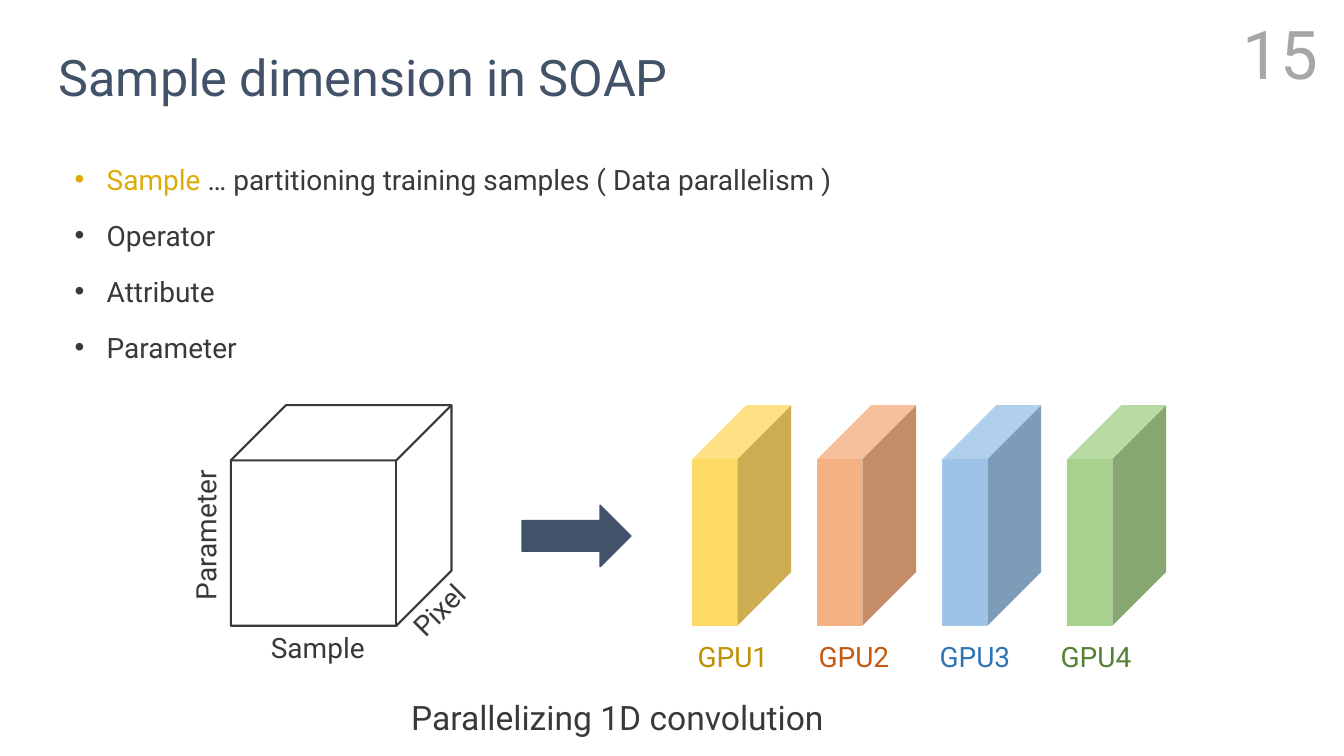
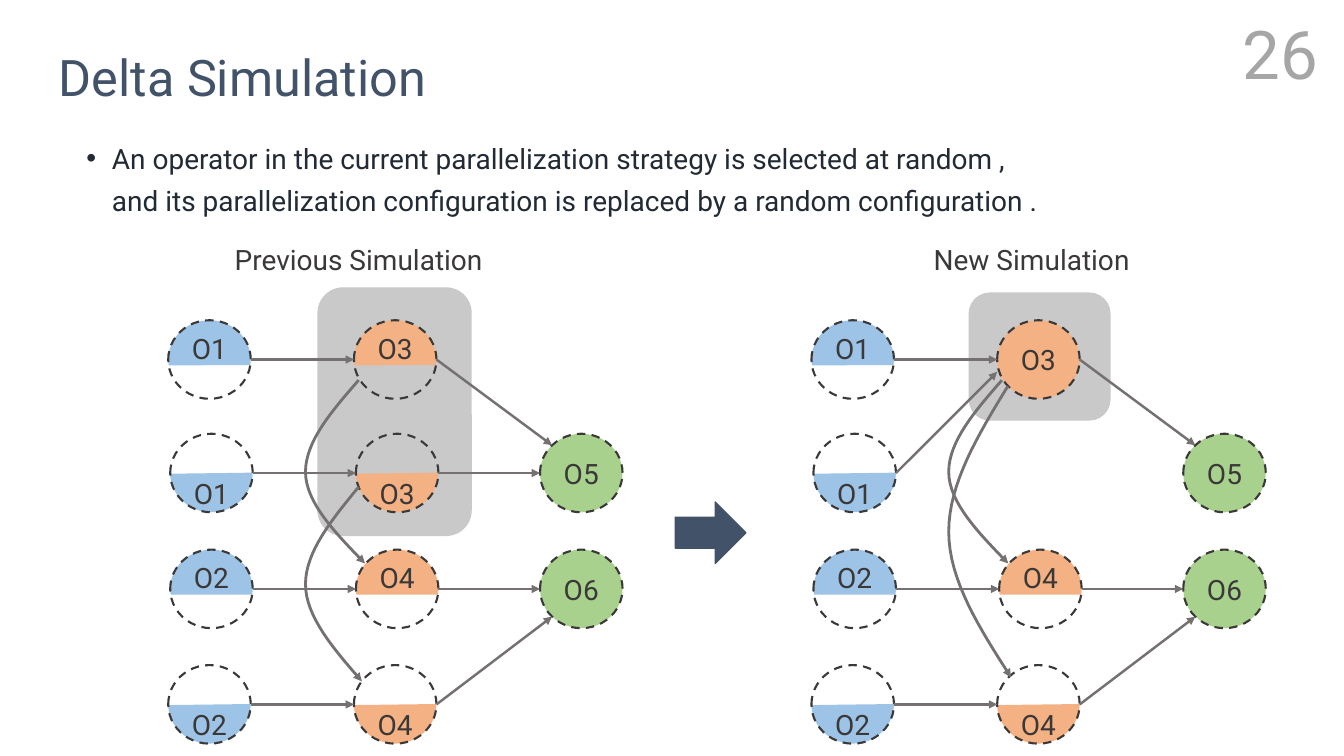
import pptx
import pptx.util
import pptx.dml.color
import pptx.enum.dml
import pptx.enum.shapes
import pptx.enum.text
import pptx.oxml
import pptx.oxml.ns
from lxml import etree

Cm, Pt = pptx.util.Cm, pptx.util.Pt
RGB = pptx.dml.color.RGBColor
KIND = pptx.enum.shapes.MSO_SHAPE
ALIGN = pptx.enum.text.PP_ALIGN
MIDDLE = pptx.enum.text.MSO_ANCHOR.MIDDLE
qn = pptx.oxml.ns.qn

# Colours and font
FONT = "Roboto"
NAVY = RGB(0x42, 0x52, 0x69)
DARK = RGB(0x3B, 0x38, 0x38)
INK = RGB(0x22, 0x2A, 0x35)
PALE = RGB(0xA6, 0xA6, 0xA6)
GREY = RGB(0x76, 0x71, 0x71)
PANEL = RGB(0xC9, 0xC9, 0xC9)
GOLD = RGB(0xDF, 0xAB, 0x09)
YELLOW = RGB(0xFF, 0xD9, 0x66)
ORANGE = RGB(0xF4, 0xB1, 0x83)
BLUE = RGB(0x9D, 0xC3, 0xE6)
GREEN = RGB(0xA9, 0xD1, 0x8E)
OCHRE = RGB(0xBF, 0x90, 0x00)
RUST = RGB(0xC5, 0x5A, 0x11)
AZURE = RGB(0x2E, 0x75, 0xB6)
MOSS = RGB(0x54, 0x82, 0x35)

# Node graph, in centimetres
WIDE, HIGH = 2.08, 1.98
ROWS = (9.06, 11.92, 14.84, 17.75)
SHIFT = (0, 0.05, 0.05, 0)
COLS = (5.28, 9.96, 14.6)
DIAG = 0.707
UPPER, LOWER = (103.14, 4.76), (215.72, 107.4)


class Deck:
    """Holds the style and the current slide; lengths are in centimetres."""

    def __init__(self):
        self.prs = pptx.Presentation()
        self.prs.slide_width, self.prs.slide_height = Cm(33.87), Cm(19.05)
        self.slide = None

    def start(self, title, number):
        self.slide = self.prs.slides.add_slide(self.prs.slide_layouts[6])
        frame = self.box(1.07, 0.28, 29.21, 2.9)
        frame.margin_left = Cm(0.41)
        frame.vertical_anchor = MIDDLE
        frame.text = title
        frame.paragraphs[0].line_spacing = 1.25
        self.style(frame, 36, NAVY)
        frame = self.box(23.67, 0.28, 9.8, 2.11)
        frame.vertical_anchor = MIDDLE
        frame.text = number
        self.style(frame, 48, PALE, ALIGN.RIGHT)

    def box(self, x, y, w, h):
        frame = self.slide.shapes.add_textbox(
            Cm(x), Cm(y), Cm(w), Cm(h)).text_frame
        frame.word_wrap = True
        return frame

    def style(self, frame, size, color, align=ALIGN.LEFT):
        for para in frame.paragraphs:
            para.alignment = align
            for run in para.runs:
                run.font.name, run.font.size = FONT, Pt(size)
                run.font.color.rgb = color

    def bullets(self, x, y, w, items, color, indent):
        frame = self.box(x, y, w, 12.75)
        frame.text = "\n".join(items)
        for i, para in enumerate(frame.paragraphs):
            props = para._p.get_or_add_pPr()
            props.set("marL", str(Cm(indent)))
            props.set("indent", str(-Cm(indent)))
            etree.SubElement(props, qn("a:buFont")).set("typeface", "Arial")
            etree.SubElement(props, qn("a:buChar")).set("char", "•")
            para.line_spacing = 1.25
            para.space_before = Pt(10 if i else 0)
        self.style(frame, 20, color)
        return frame

    def label(self, text, x, y, w, color=DARK, size=20, turn=0):
        """Unwrapped text centred on x, y."""
        h = 1.27 if size > 20 else 1.12
        box = self.slide.shapes.add_textbox(
            Cm(x - w / 2), Cm(y - h / 2), Cm(w), Cm(h))
        box.rotation = turn
        frame = box.text_frame
        frame.word_wrap = False
        frame.auto_size = pptx.enum.text.MSO_AUTO_SIZE.SHAPE_TO_FIT_TEXT
        frame.text = text
        self.style(frame, size, color, ALIGN.CENTER)

    def shape(self, kind, x, y, w, h, fill=None, line=None, width=1, adj=()):
        shape = self.slide.shapes.add_shape(kind, Cm(x), Cm(y), Cm(w), Cm(h))
        self.paint(shape, fill, line, width)
        for i, value in enumerate(adj):
            shape.adjustments[i] = value
        return shape

    def paint(self, shape, fill, line, width):
        shape.shadow.inherit = False
        if fill is None:
            shape.fill.background()
        else:
            shape.fill.solid()
            shape.fill.fore_color.rgb = fill
        if line is None:
            shape.line.fill.background()
        else:
            shape.line.color.rgb = line
            shape.line.width = Pt(width)

    def block(self, x, y, w):
        self.shape(KIND.RIGHT_ARROW, x, y, w, 1.55, NAVY, NAVY)

    def ring(self, x, y, fill=None, text=""):
        """Dashed circle centred on x, y."""
        ring = self.shape(KIND.OVAL, x - WIDE / 2, y - HIGH / 2, WIDE, HIGH,
                          fill, DARK, 1.5)
        ring.line.dash_style = pptx.enum.dml.MSO_LINE.DASH
        if text:
            frame = ring.text_frame
            frame.word_wrap = False
            frame.vertical_anchor = MIDDLE
            frame.text = text
            self.style(frame, 20, DARK, ALIGN.CENTER)
        return ring

    def half(self, x, y, fill, text, upper):
        """Circle with its upper or lower part filled."""
        part = self.shape(KIND.CHORD, x - WIDE / 2, y - HIGH / 2, WIDE, HIGH,
                          fill, adj=UPPER if upper else LOWER)
        self.slide.shapes.add_group_shape([part, self.ring(x, y)])
        self.label(text, x, y + (-0.28 if upper else 0.52), 1.45)

    def head(self, shape):
        line = shape._element.spPr.find(qn("a:ln"))
        etree.SubElement(line, qn("a:tailEnd")).set("type", "triangle")

    def arrow(self, start, end):
        line = self.slide.shapes.add_connector(
            pptx.enum.shapes.MSO_CONNECTOR.STRAIGHT,
            *[Cm(v) for v in (*start, *end)])
        line.line.color.rgb = GREY
        line.line.width = Pt(1.75)
        self.head(line)
        etree.SubElement(line._element.spPr, qn("a:effectLst"))

    def curve(self, start, end, waist):
        """Arrow bowing left to the waist, made of two Bezier halves."""
        mid = (start[1] + end[1]) / 2

        def bow(tip):
            step = (mid - tip[1]) / 3
            ctrl = (tip, ((tip[0] + waist) / 2, tip[1] + step),
                    (waist, tip[1] + 2 * step), (waist, mid))
            dots = []
            for i in range(17):
                t = i / 16
                mix = ((1 - t) ** 3, 3 * t * (1 - t) ** 2,
                       3 * t * t * (1 - t), t ** 3)
                dots.append([Cm(sum(m * c[k] for m, c in zip(mix, ctrl)))
                             for k in (0, 1)])
            return dots

        dots = bow(start) + bow(end)[-2::-1]
        form = self.slide.shapes.build_freeform(*dots[0])
        form.add_line_segments(dots[1:], close=False)
        shape = form.convert_to_shape()
        self.paint(shape, None, GREY, 2)
        self.head(shape)


def spot(col, row, dx):
    return COLS[col] + SHIFT[row] + dx, ROWS[row]


def graph(deck, dx, merged):
    """Draws one simulation; merged joins both O3 halves into one node."""
    names = (("O1", "O3"), ("O1", "O3"), ("O2", "O4"), ("O2", "O4"))
    for row, pair in enumerate(names):
        for col, fill in enumerate((BLUE, ORANGE)):
            x, y = spot(col, row, dx)
            if not (merged and pair[col] == "O3"):
                deck.half(x, y, fill, pair[col], row % 2 == 0)
            elif row == 0:
                deck.ring(x, y, fill, pair[col])
    for row, name in ((1, "O5"), (2, "O6")):
        deck.ring(*spot(2, row, dx), GREEN, name)

    # Straight arrows: column, row to column, row, with the side of arrival
    links = [(0, row, 1, row, 0) for row in (0, 2, 3)]
    links += [(1, 0, 2, 1, -1), (1, 2, 2, 2, 0), (1, 3, 2, 2, 1)]
    if not merged:
        links += [(0, 1, 1, 1, 0), (1, 1, 2, 1, 0)]
    for col, row, aim, goal, side in links:
        x, y = spot(col, row, dx)
        u, v = spot(aim, goal, dx)
        reach = DIAG if side else 1
        deck.arrow((x + WIDE / 2, y),
                   (u - reach * WIDE / 2, v + side * DIAG * HIGH / 2))

    # Arrows into the merged node and down the column
    bows = [((9.04, 9.58), (9.2, 14.2))]
    if merged:
        x, y = spot(0, 1, dx)
        u, v = spot(1, 0, dx)
        deck.arrow((x + WIDE / 2, y), (u - WIDE / 2, v + 0.31))
        bows.append(((9.19, 9.73), (9.27, 17.07)))
    else:
        bows.append(((9.04, 12.27), (9.12, 17.17)))
    for start, end in bows:
        deck.curve((start[0] + dx, start[1]), (end[0] + dx, end[1]), 7.7 + dx)


def sample(deck):
    deck.start("Sample dimension in SOAP", "15")
    frame = deck.bullets(1.63, 3.76, 30.6,
                         ("Sample ", "Operator", "Attribute", "Parameter"),
                         DARK, 0.81)
    first = frame.paragraphs[0]
    first.add_run().text = "… partitioning training samples ( Data parallelism )"
    deck.style(frame, 20, DARK)
    first.runs[0].font.color.rgb = GOLD

    # Whole tensor
    deck.shape(KIND.CUBE, 5.82, 10.21, 5.56, 5.56, None, DARK, 1.5)
    deck.label("Sample", 8.01, 16.33, 2.92)
    deck.label("Parameter", 5.18, 13.49, 3.81, turn=270)
    deck.label("Pixel", 11.06, 15.37, 2.06, turn=315)
    deck.block(13.16, 12.73, 2.74)

    # One slab for each device
    slabs = ((YELLOW, OCHRE), (ORANGE, RUST), (BLUE, AZURE), (GREEN, MOSS))
    for i, (fill, color) in enumerate(slabs):
        deck.shape(KIND.CUBE, 17.45 + 3.15 * i, 10.21, 2.49, 5.56, fill,
                   adj=(0.545,))
        deck.label(f"GPU{i + 1}", 18.47 + 3.05 * i, 16.54, 2.44, color)
    deck.label("Parallelizing 1D convolution", 15.56, 18.06, 11.05, size=24)


def delta(deck):
    deck.start("Delta Simulation", "26")
    deck.bullets(1.93, 3.23, 31.22, (
        "An operator in the current parallelization strategy is selected "
        "at random ,\vand its parallelization configuration is replaced by "
        "a random configuration .",), INK, 0.64)

    # Panels behind the changed operator
    deck.shape(KIND.ROUNDED_RECTANGLE, 8, 7.24, 3.89, 6.27, PANEL)
    deck.shape(KIND.ROUNDED_RECTANGLE, 24.41, 7.37, 3.58, 3.23, PANEL)

    # Before and after
    deck.label("Previous Simulation", 9.04, 6.55, 6.81)
    graph(deck, 0, False)
    deck.block(17.02, 12.65, 1.78)
    deck.label("New Simulation", 26, 6.55, 5.51)
    graph(deck, 16.21, True)


def main():
    deck = Deck()
    sample(deck)
    delta(deck)
    deck.prs.save("out.pptx")


if __name__ == "__main__":
    main()
